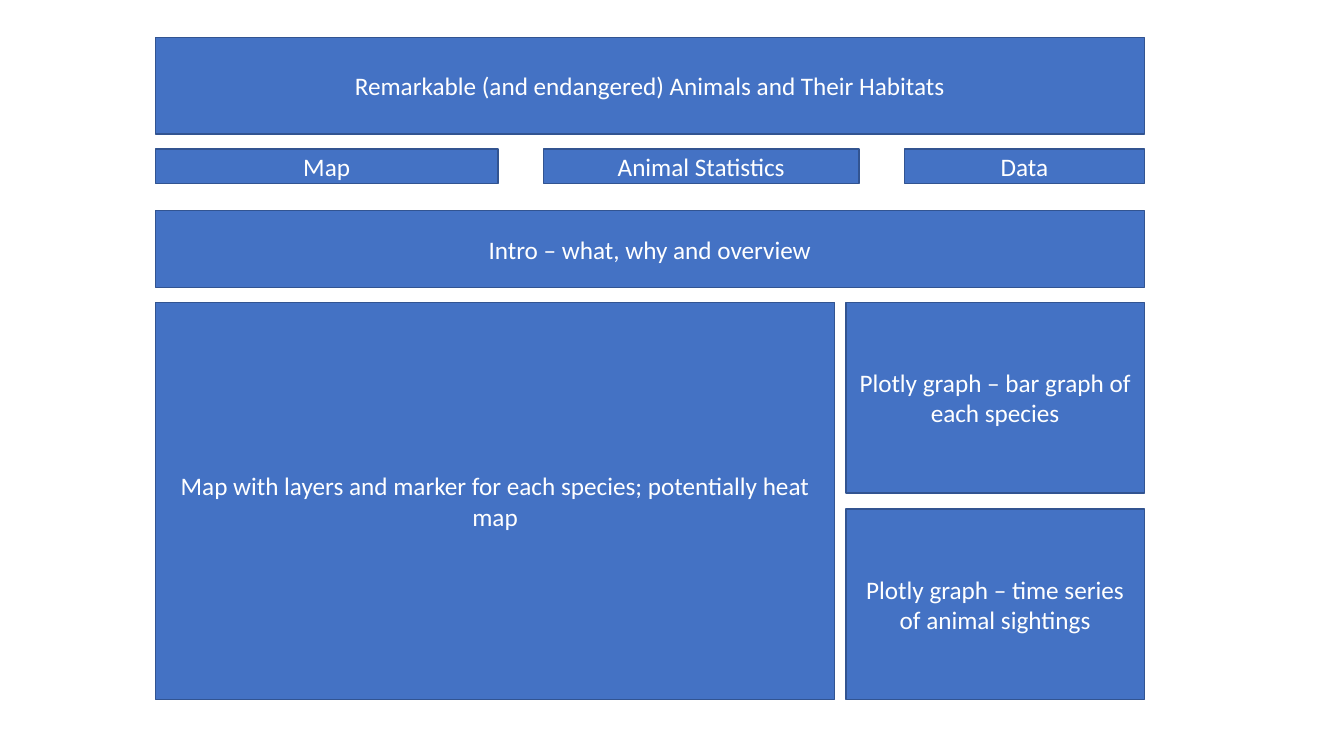
from pptx import Presentation
from pptx.dml.color import RGBColor
from pptx.enum.shapes import MSO_SHAPE
from pptx.enum.text import MSO_ANCHOR, PP_ALIGN
from pptx.util import Inches, Pt

BLUE = RGBColor(0x44, 0x72, 0xC4)
EDGE = RGBColor(0x32, 0x54, 0x91)
WHITE = RGBColor(0xFF, 0xFF, 0xFF)

LEFT, WIDTH = 1.54, 9.81  # page column in inches


def add_panel(slide, text, left, top, width, height):
    """Draw one labelled block of the wireframe."""
    panel = slide.shapes.add_shape(
        MSO_SHAPE.RECTANGLE,
        Inches(left), Inches(top), Inches(width), Inches(height))
    panel.shadow.inherit = False
    panel.fill.solid()
    panel.fill.fore_color.rgb = BLUE
    panel.line.color.rgb = EDGE
    panel.line.width = Pt(1)

    frame = panel.text_frame
    frame.text = text
    frame.word_wrap = True
    frame.vertical_anchor = MSO_ANCHOR.MIDDLE
    label = frame.paragraphs[0]
    label.alignment = PP_ALIGN.CENTER
    font = label.runs[0].font
    font.name = "Calibri"
    font.size = Pt(18)
    font.color.rgb = WHITE


def add_menu(slide, left, top, width, height):
    """Place the tabs in a row with equal gaps."""
    tabs = [("Map", 3.4), ("Animal Statistics", 3.13), ("Data", 2.38)]
    gap = (width - sum(size for _, size in tabs)) / (len(tabs) - 1)
    for text, size in tabs:
        add_panel(slide, text, left, top, size, height)
        left += size + gap


def add_body(slide, left, top, width, height):
    """Place the map beside a stack of equal graphs."""
    add_panel(slide,
              "Map with layers and marker for each species; "
              "potentially heat map",
              left, top, 6.74, height)

    graphs = ["Plotly graph – bar graph of each species",
              "Plotly graph – time series of animal sightings"]
    side, gap = 2.96, 0.16
    tall = (height - gap * (len(graphs) - 1)) / len(graphs)
    for row, text in enumerate(graphs):
        add_panel(slide, text, left + width - side,
                  top + row * (tall + gap), side, tall)


deck = Presentation()
deck.slide_width = Inches(13.33)
deck.slide_height = Inches(7.5)
page = deck.slides.add_slide(deck.slide_layouts[6])

# Header and menu
add_panel(page, "Remarkable (and endangered) Animals and Their Habitats",
          LEFT, 0.37, WIDTH, 0.96)
add_menu(page, LEFT, 1.48, WIDTH, 0.34)

# Intro and main content
add_panel(page, "Intro – what, why and overview", LEFT, 2.09, WIDTH, 0.76)
add_body(page, LEFT, 3, WIDTH, 3.94)

deck.save("out.pptx")
